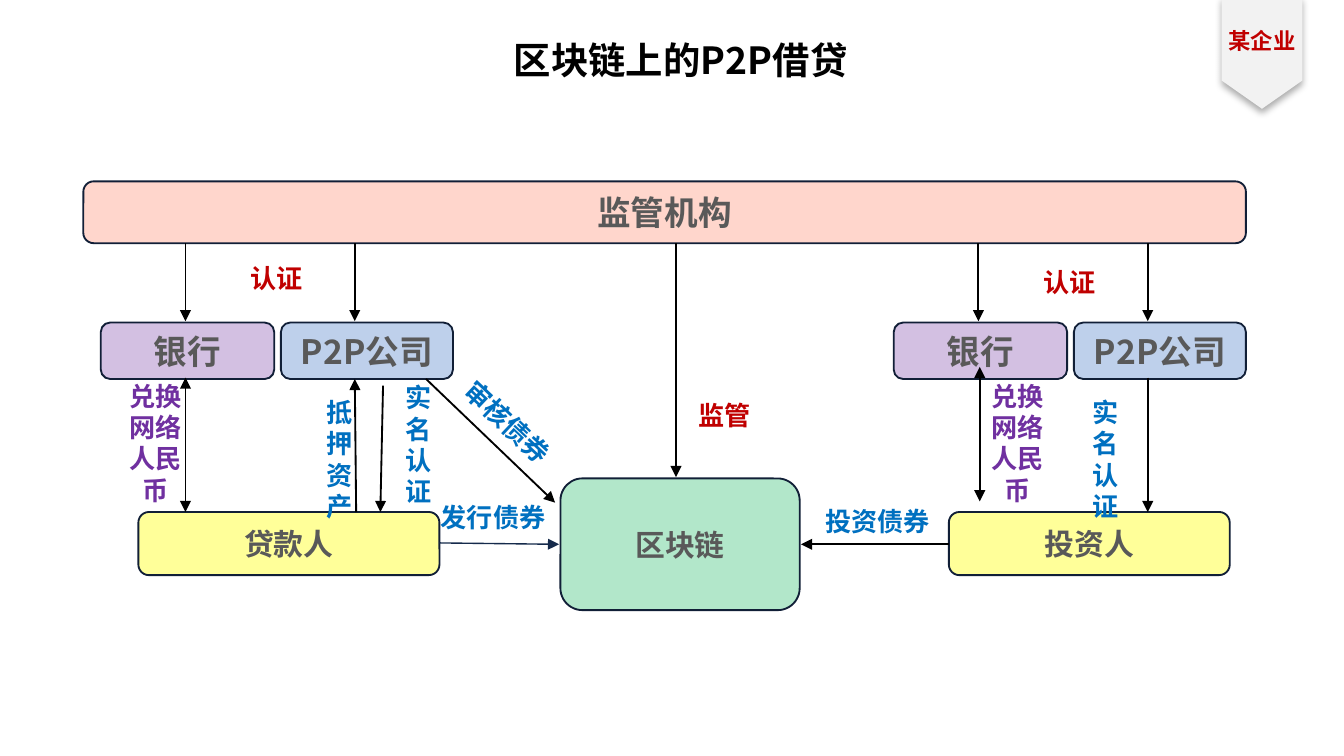
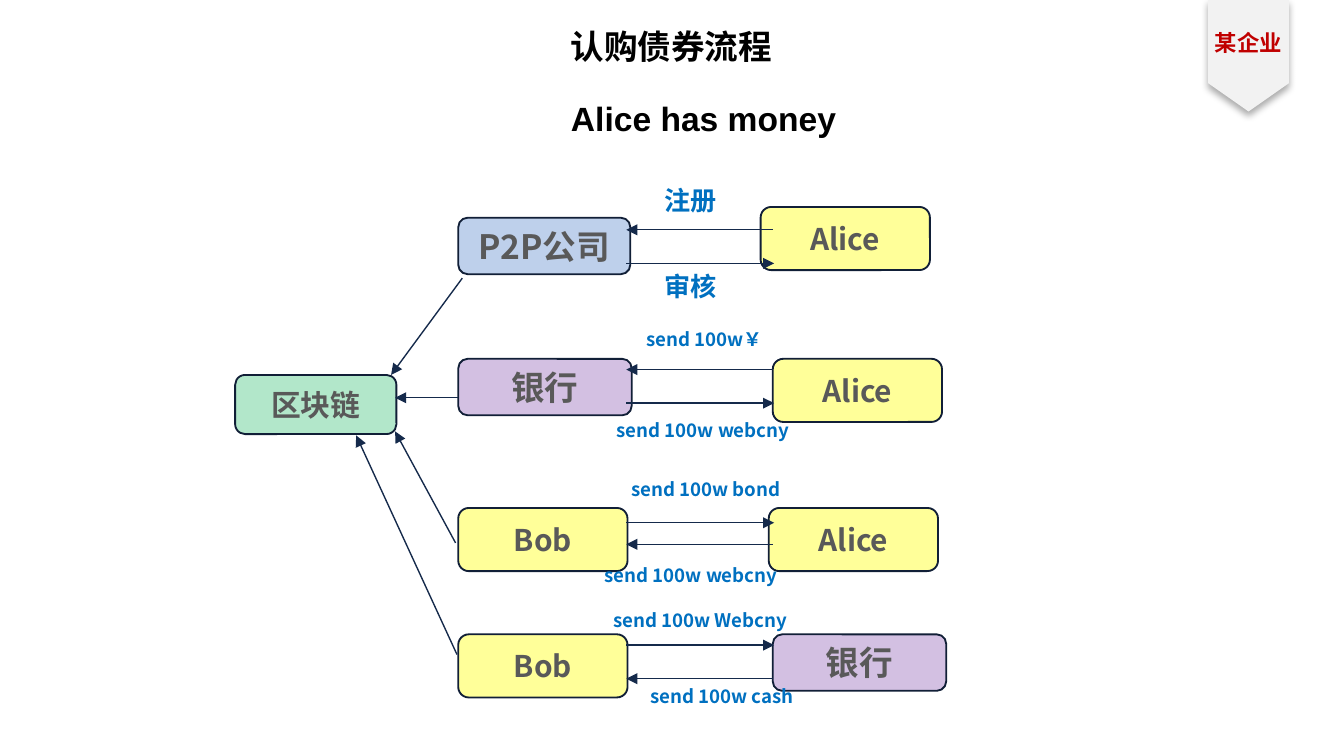
import pptx
import pptx.dml.color
import pptx.enum.shapes
import pptx.enum.text
import pptx.oxml
import pptx.oxml.ns
import pptx.util
from lxml import etree

Inches = pptx.util.Inches
RGBColor = pptx.dml.color.RGBColor
ANCHOR = pptx.enum.text.MSO_ANCHOR
SHAPES = pptx.enum.shapes.MSO_SHAPE
qn = pptx.oxml.ns.qn

# Shared look
BLACK = RGBColor(0x00, 0x00, 0x00)
GRAY = RGBColor(0x59, 0x59, 0x59)
RED = RGBColor(0xC0, 0x00, 0x00)
BLUE = RGBColor(0x00, 0x70, 0xC0)
PURPLE = RGBColor(0x70, 0x30, 0xA0)
OUTLINE = RGBColor(0x11, 0x1F, 0x37)
NAVY = RGBColor(0x15, 0x2A, 0x4B)
RIBBON = RGBColor(0xF2, 0xF2, 0xF2)
CORAL = RGBColor(0xFF, 0x33, 0x00)
STEEL = RGBColor(0x70, 0x97, 0xD3)
GREEN = RGBColor(0x00, 0xB0, 0x50)
YELLOW = RGBColor(0xFF, 0xFF, 0x00)
CJK = "Noto Sans CJK SC"

# Role: fill, opacity in percent, text size
ROLES = {
    "regulator": (CORAL, 20, 18),
    "company": (STEEL, 45, 18),
    "bank": (PURPLE, 30, 18),
    "chain": (GREEN, 30, 16),
    "person": (YELLOW, 40, 16),
}
COMPANY_SIZE = (1.28, 0.42)
BANK_SIZE = (1.29, 0.42)
PERSON_SIZE = (1.26, 0.47)


def write_text(shape, text, size=14, color=BLUE, font=CJK,
               anchor=ANCHOR.TOP, wrap=True):
    frame = shape.text_frame
    frame.word_wrap = wrap
    frame.vertical_anchor = anchor
    frame.margin_left = frame.margin_right = Inches(0.05)
    frame.margin_top = frame.margin_bottom = Inches(0.05)
    para = frame.paragraphs[0]
    para.alignment = pptx.enum.text.PP_ALIGN.CENTER
    span = para.add_run()
    span.text = text
    span.font.size = pptx.util.Pt(size)
    span.font.bold = True
    span.font.name = font
    span.font.color.rgb = color
    east_asian = etree.SubElement(span.font._element, qn("a:ea"))
    east_asian.set("typeface", CJK)


def add_label(page, left, top, width, height, text, rotation=0, **style):
    box = page.shapes.add_textbox(Inches(left), Inches(top),
                                  Inches(width), Inches(height))
    box.rotation = rotation
    write_text(box, text, **style)


def add_node(page, role, left, top, size, text):
    fill, opacity, text_size = ROLES[role]
    node = page.shapes.add_shape(
        SHAPES.ROUNDED_RECTANGLE, Inches(left), Inches(top),
        Inches(size[0]), Inches(size[1]))
    node.shadow.inherit = False
    node.fill.solid()
    node.fill.fore_color.rgb = fill
    tint = node._element.spPr.find(".//" + qn("a:srgbClr"))
    etree.SubElement(tint, qn("a:alpha")).set("val", str(opacity * 1000))
    node.line.color.rgb = OUTLINE
    node.line.width = pptx.util.Pt(1)
    write_text(node, text, size=text_size, color=GRAY, anchor=ANCHOR.MIDDLE)


def add_arrow(page, x1, y1, x2, y2, color=BLACK, width=1, both=False):
    arrow = page.shapes.add_connector(
        pptx.enum.shapes.MSO_CONNECTOR.STRAIGHT,
        Inches(x1), Inches(y1), Inches(x2), Inches(y2))
    arrow.line.color.rgb = color
    arrow.line.width = pptx.util.Pt(width)
    line = arrow.line._get_or_add_ln()
    for end in ("a:headEnd", "a:tailEnd") if both else ("a:tailEnd",):
        etree.SubElement(line, qn(end)).set("type", "triangle")
    etree.SubElement(arrow._element.spPr, qn("a:effectLst"))


def add_thin_arrow(page, *ends):
    add_arrow(page, *ends, color=NAVY, width=0.75)


def add_ribbon(page, left, top):
    """Corner tag with a pointed lower edge and a soft shadow."""
    width, side, height = 0.6, 0.62, 0.83
    builder = page.shapes.build_freeform(Inches(left), Inches(top))
    corners = [(width, 0), (width, side), (width / 2, height), (0, side)]
    builder.add_line_segments(
        [(Inches(left + x), Inches(top + y)) for x, y in corners], close=True)
    tag = builder.convert_to_shape()
    tag.fill.solid()
    tag.fill.fore_color.rgb = RIBBON
    tag.line.fill.background()
    tag.shadow.inherit = False
    effects = tag._element.spPr.find(qn("a:effectLst"))
    shadow = etree.SubElement(
        effects, qn("a:outerShdw"), blurRad=str(pptx.util.Pt(4)),
        dist=str(pptx.util.Pt(2.2)), dir="5400000", rotWithShape="0")
    tint = etree.SubElement(shadow, qn("a:srgbClr"), val=str(BLACK))
    etree.SubElement(tint, qn("a:alpha")).set("val", "32000")
    add_label(page, left, top + 0.17, width, 0.34, "某企业",
              size=12, color=RED, wrap=False)


def add_page(deck, title, left, top, size, font, ribbon):
    page = deck.slides.add_slide(deck.slide_layouts[5])
    holder = page.shapes.title
    holder.left, holder.top = Inches(left), Inches(top)
    holder.width, holder.height = Inches(4.13), Inches(0.49)
    write_text(holder, title, size=size, color=BLACK, font=font)
    add_ribbon(page, *ribbon)
    return page


# Lending overview
def add_institutions(page, left, top, label_top):
    """A bank and a lending company, both certified from above."""
    add_node(page, "bank", left, top, BANK_SIZE, "银行")
    add_node(page, "company", left + 1.34, top, COMPANY_SIZE, "P2P公司")
    for x in (left + 0.63, left + 1.89):
        add_arrow(page, x, top - 0.59, x, top - 0.01)
    add_label(page, left + 0.92, label_top, 0.78, 0.38, "认证", color=RED)


def add_exchange(page, arrow_x, top, label_left, label_top):
    add_arrow(page, arrow_x, top, arrow_x, top + 1, both=True)
    add_label(page, label_left, label_top, 0.66, 1.21, "兑换网络人民币",
              color=PURPLE, anchor=ANCHOR.BOTTOM)


def add_column_label(page, left, top, text):
    add_label(page, left, top, 0.45, 1.21, text)


def add_borrower_side(page, left, top):
    add_institutions(page, left, top, top - 0.5)
    add_node(page, "person", left + 0.28, top + 1.41, (2.24, 0.47), "贷款人")
    add_exchange(page, left + 0.63, top + 0.41, left + 0.08, top + 0.2)
    # Collateral goes up, identity checks come down
    add_arrow(page, left + 1.9, top + 1.41, left + 1.89, top + 0.42)
    add_column_label(page, left + 1.55, top + 0.5, "抵押资产")
    add_arrow(page, left + 2.1, top + 0.47, left + 2.08, top + 1.41)
    add_column_label(page, left + 2.14, top + 0.39, "实名认证")
    # Bonds reach the chain
    add_arrow(page, left + 2.42, top + 0.42, left + 3.38, top + 1.34)
    add_label(page, left + 2.46, top + 0.57, 1.1, 0.38, "审核债券",
              rotation=43.3)
    add_thin_arrow(page, left + 2.52, top + 1.64, left + 3.41, top + 1.65)
    add_label(page, left + 2.41, top + 1.28, 1.02, 0.38, "发行债券")


def add_investor_side(page, left, top):
    add_institutions(page, left, top, top - 0.47)
    add_node(page, "person", left + 0.41, top + 1.41, (2.09, 0.47), "投资人")
    add_exchange(page, left + 0.64, top + 0.33, left + 0.59, top + 0.2)
    add_arrow(page, left + 1.89, top + 0.41, left + 1.89, top + 1.41)
    add_column_label(page, left + 1.35, top + 0.5, "实名认证")
    add_arrow(page, left + 0.41, top + 1.65, left - 0.69, top + 1.65)
    add_label(page, left - 0.63, top + 1.31, 1.02, 0.38, "投资债券")


def add_supervision(page, left, top):
    add_node(page, "regulator", left, top, (8.65, 0.46), "监管机构")
    add_node(page, "chain", left + 3.55, top + 2.21, (1.78, 0.98), "区块链")
    add_arrow(page, left + 4.41, top + 0.46, left + 4.41, top + 2.2)
    add_label(page, left + 4.38, top + 1.57, 0.78, 0.38, "监管", color=RED)


def build_lending_page(deck):
    page = add_page(deck, "区块链上的P2P借贷", 3, 0.23, 20, CJK, (9.09, -0.02))
    add_supervision(page, 0.62, 1.35)
    add_borrower_side(page, 0.75, 2.4)
    add_investor_side(page, 6.65, 2.4)


# Subscription flow
def add_exchange_row(page, left, top, giver, taker, forward, back, labels):
    """Two parties with an arrow each way; offsets count from left and top."""
    role, name, size = giver
    add_node(page, role, left, top, size, name)
    role, name, size, shift, drop = taker
    add_node(page, role, left + shift, top + drop, size, name)
    add_thin_arrow(page, left + 1.25, top + forward, left + 2.35, top + forward)
    add_thin_arrow(page, left + 2.34, top + back, left + 1.25, top + back)
    for text, center, offset, text_size in labels:
        add_label(page, left + center - 0.74, top + offset, 1.48, 0.27, text,
                  size=text_size)


def build_subscription_page(deck):
    page = add_page(deck, "认购债券流程", 2.93, 0.14, 18, "Arial", (8.99, 0))
    add_label(page, 3.62, 0.68, 3.23, 0.38, "Alice has money",
              size=18, color=BLACK, font="Arial")
    add_node(page, "chain", 1.75, 2.79, (1.2, 0.44), "区块链")

    company = ("company", "P2P公司", COMPANY_SIZE)
    bank = ("bank", "银行", BANK_SIZE)
    alice = ("person", "Alice", PERSON_SIZE)
    bob = ("person", "Bob", PERSON_SIZE)
    # Top, giver, taker, forward and back arrow, labels
    rows = [
        (1.62, company, alice + (2.25, -0.08), 0.34, 0.09,
         [("注册", 1.73, -0.3, 14), ("审核", 1.73, 0.34, 14)]),
        (2.67, bank, alice + (2.34, 0), 0.33, 0.08,
         [("send 100w￥", 1.83, -0.28, 10),
          ("send 100w webcny", 1.82, 0.4, 10)]),
        (3.78, bob, alice + (2.31, 0), 0.11, 0.27,
         [("send 100w bond", 1.84, -0.27, 10),
          ("send 100w webcny", 1.73, 0.37, 10)]),
        (4.72, bob, bank + (2.34, 0), 0.08, 0.33,
         [("send 100w Webcny", 1.8, -0.24, 10),
          ("send 100w cash", 1.96, 0.33, 10)]),
    ]
    for top, *parts in rows:
        add_exchange_row(page, 3.41, top, *parts)

    # Every step is recorded on the chain
    for ends in [(3.44, 2.07, 2.91, 2.79), (3.41, 2.96, 2.94, 2.96),
                 (3.39, 4.04, 2.94, 3.21), (3.4, 4.87, 2.65, 3.24)]:
        add_thin_arrow(page, *ends)


def main():
    deck = pptx.Presentation()
    # Widescreen, 16 to 9
    deck.slide_width = Inches(10)
    deck.slide_height = deck.slide_width * 9 // 16
    build_lending_page(deck)
    build_subscription_page(deck)
    deck.save("out.pptx")


if __name__ == "__main__":
    main()
